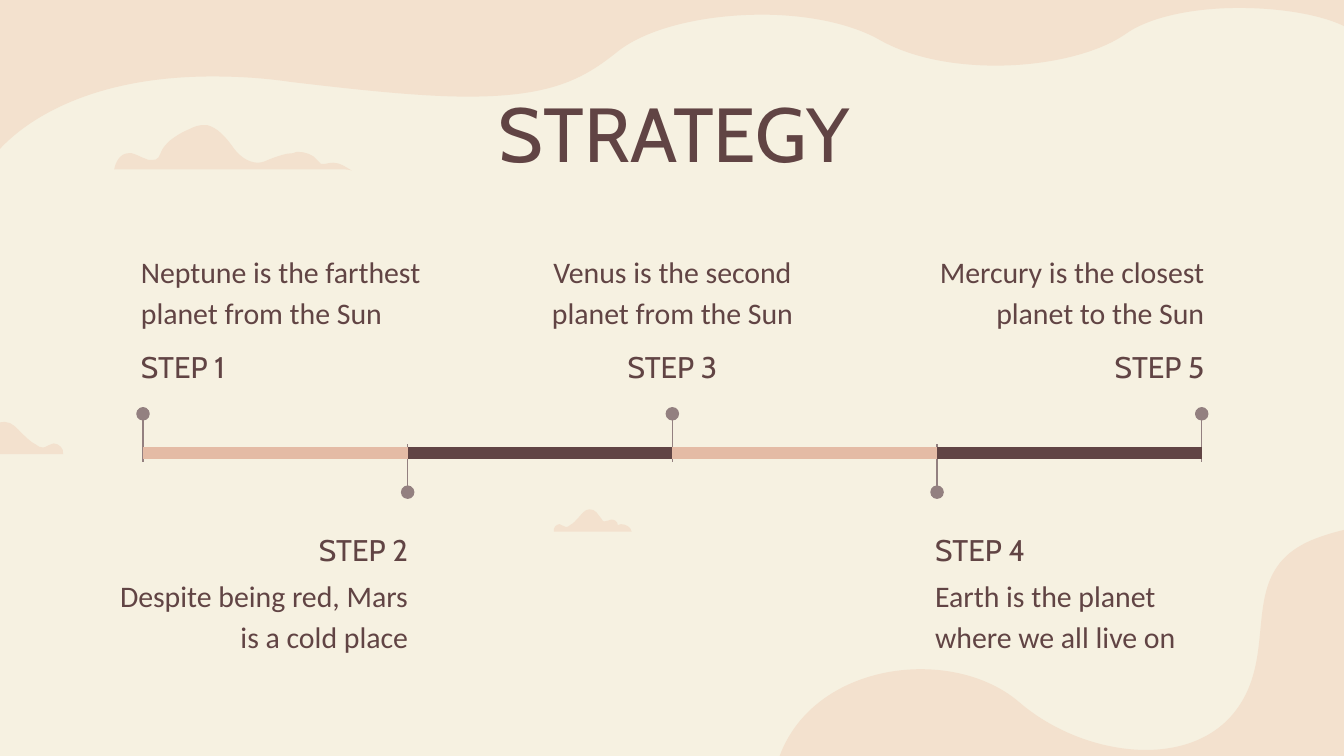
from lxml import etree
from pptx import Presentation
from pptx.dml.color import RGBColor
from pptx.enum.shapes import MSO_CONNECTOR, MSO_SHAPE
from pptx.enum.text import MSO_ANCHOR, PP_ALIGN
from pptx.oxml.ns import qn
from pptx.util import Pt

LEFT, CENTER, RIGHT = PP_ALIGN.LEFT, PP_ALIGN.CENTER, PP_ALIGN.RIGHT
TOP, MIDDLE, BOTTOM = MSO_ANCHOR.TOP, MSO_ANCHOR.MIDDLE, MSO_ANCHOR.BOTTOM
STRAIGHT, OVAL = MSO_CONNECTOR.STRAIGHT, MSO_SHAPE.OVAL

CREAM = RGBColor(0xF6, 0xF1, 0xE1)
SAND = RGBColor(0xF3, 0xE1, 0xCE)
PEACH = RGBColor(0xE4, 0xBB, 0xA5)
PLUM = RGBColor(0x61, 0x44, 0x44)
MAUVE = RGBColor(0x93, 0x80, 0x80)

# Outlines in points: a start, then lines (x, y) and Bezier curves (six values)
WAVE = [
    (0, 0), (0, 100.8), (0, 100.8, 28.8, 57.6, 117.4, 57.6),
    (130.3, 57.6, 144, 58.3, 159.1, 60.5), (200.9, 65.5, 231.1, 68.4, 254.2, 68.4),
    (298.8, 68.4, 316.1, 59, 334.1, 44.6), (349.9, 31.7, 380.9, 24.5, 411.8, 24.5),
    (434.9, 24.5, 457.9, 28.8, 473.8, 37.4), (491, 47.5, 514.1, 51.8, 537.1, 51.8),
    (564.5, 51.8, 591.8, 45.4, 607, 34.6), (620.6, 25.2, 644.4, 20.9, 667.4, 20.9),
    (693.4, 20.9, 719.3, 25.9, 730.1, 34.6), (730.1, 0),
]
HILL = [
    (403.2, 37.4), (403.2, 37.4, 357.1, 0, 295.2, 22.3),
    (249.1, 38.9, 275.8, 81.4, 251.3, 114.5),
    (226.8, 147.6, 169.2, 139.7, 135.4, 110.9),
    (94.3, 74.9, 0, 92.2, 2.2, 167.8), (403.2, 167.8),
]
LONG_CLOUD = [
    (48.2, 0), (45.4, 0, 43.2, 0.7, 40.3, 2.2), (36.7, 3.6, 33.1, 5.8, 29.5, 8.6),
    (28.1, 10.1, 25.9, 12.2, 25.2, 14.4), (24.5, 15.1, 24.5, 16.6, 23.8, 17.3),
    (23, 18.7, 21.6, 18.7, 20.2, 18.7), (18.7, 18.7, 17.3, 18.7, 16.6, 18),
    (14.4, 17.3, 12.2, 15.8, 9.4, 15.1), (8.6, 15.1, 8.6, 15.1, 7.9, 15.1),
    (2.9, 15.1, 0.7, 20.2, 0, 23.8), (122.4, 23.8),
    (123.8, 23.8, 126, 23.8, 127.4, 24.5), (123.8, 22.3, 121, 20.2, 117.4, 20.2),
    (115.2, 20.2, 113, 20.9, 112.3, 20.9), (110.9, 20.9, 110.2, 20.9, 110.2, 20.2),
    (109.4, 19.4, 108.7, 18.7, 108.7, 18.7), (106.6, 15.8, 102.2, 14.4, 98.6, 14.4),
    (97.9, 14.4, 97.2, 14.4, 95.8, 15.1), (92.2, 15.1, 87.8, 16.6, 84.2, 18),
    (82.1, 18.7, 79.9, 20.2, 77, 20.2), (71.3, 20.2, 66.2, 15.8, 63.4, 11.5),
    (59.8, 6.5, 55.4, 1.4, 49.7, 0),
]
CLOUD = [
    (36.7, 0), (34.6, 0, 32.4, 0.7, 31, 2.2), (29.5, 3.6, 28.1, 5.8, 26.6, 7.2),
    (25.9, 7.9, 25.2, 9.4, 24.5, 9.4), (22.3, 9.4, 21.6, 8.6, 20.2, 8.6),
    (19.4, 7.9, 18.7, 7.9, 18, 7.9), (15.1, 7.9, 12.2, 9.4, 12.2, 12.2),
    (10.8, 11.5, 10.1, 11.5, 9.4, 11.5), (5, 11.5, 0.7, 13.7, 0, 17.3),
    (68.4, 17.3), (69.1, 14.4, 66.2, 11.5, 63.4, 11.5),
    (60.5, 12.2, 59, 13.7, 57.6, 13.7), (56.2, 13.7, 54.7, 13, 54, 12.2),
    (51.1, 10.8, 49, 8.6, 46.1, 5.8), (43.9, 3.6, 41, 0, 37.4, 0),
]

# Title, description, alignment, and caption edge measured from the timeline's left
STEPS = [
    ("STEP 1", "Neptune is the farthest planet from the Sun", LEFT, -8.2),
    ("STEP 2", "Despite being red, Mars is a cold place", RIGHT, 149.1),
    ("STEP 3", "Venus is the second planet from the Sun", CENTER, 283.7),
    ("STEP 4", "Earth is the planet where we all live on", LEFT, 417.3),
    ("STEP 5", "Mercury is the closest planet to the Sun", RIGHT, 575.7),
]


def add_blob(s, outline, left, top, sx=1, sy=1):
    """Draw a sand outline; a negative sx mirrors it about left."""
    points = [(Pt(left + seg[i] * sx), Pt(top + seg[i + 1] * sy))
              for seg in outline for i in range(0, len(seg), 2)]
    builder = s.shapes.build_freeform(*points[0])
    builder.add_line_segments(points[1:], close=True)
    sp = builder.convert_to_shape()
    # Join the three points of each curve into one Bezier segment
    nodes = iter(list(sp._element.iter(qn("a:lnTo"))))
    for seg in outline[1:]:
        node = next(nodes)
        if len(seg) == 6:
            curve = etree.Element(qn("a:cubicBezTo"))
            node.addprevious(curve)
            for part in (node, next(nodes), next(nodes)):
                curve.append(part[0])
                part.getparent().remove(part)
    sp.shadow.inherit = False
    sp.fill.solid()
    sp.fill.fore_color.rgb = SAND
    sp.line.fill.background()


def add_line(s, x1, y1, x2, y2, color, width):
    line = s.shapes.add_connector(STRAIGHT, Pt(x1), Pt(y1), Pt(x2), Pt(y2))
    line.line.color.rgb = color
    line.line.width = Pt(width)
    etree.SubElement(line._element.spPr, qn("a:effectLst"))


def add_text(s, text, left, top, width, height, font, size, align, anchor=TOP, spacing=1.15):
    tf = s.shapes.add_textbox(Pt(left), Pt(top), Pt(width), Pt(height)).text_frame
    tf.word_wrap = True
    tf.vertical_anchor = anchor
    tf.margin_left = tf.margin_right = tf.margin_top = tf.margin_bottom = Pt(7.2)
    tf.text = text
    p = tf.paragraphs[0]
    p.alignment = align
    p.line_spacing = spacing
    r = p.runs[0]
    r.font.name = font
    r.font.size = Pt(size)
    r.font.color.rgb = PLUM


def add_background(s, width, height):
    s.background.fill.solid()
    s.background.fill.fore_color.rgb = CREAM
    add_blob(s, WAVE, -3.6, -16.6)
    add_blob(s, HILL, width - 308.9, height - 139.3)
    add_blob(s, LONG_CLOUD, 61.2, 67)
    add_blob(s, CLOUD, 338.4, 272.9, -0.61, 0.69)
    add_blob(s, CLOUD, -34.6, 226.1)


def add_pin(s, x, axis, side):
    """Pin with its head above (side -1) or below (side 1) the axis."""
    head, dot = axis + side * 21, 6.5
    add_line(s, x, head, x, axis - side * 5, MAUVE, 0.75)
    sp = s.shapes.add_shape(OVAL, Pt(x - dot / 2), Pt(head - dot / 2), Pt(dot), Pt(dot))
    sp.shadow.inherit = False
    sp.fill.solid()
    sp.fill.fore_color.rgb = MAUVE
    sp.line.color.rgb = MAUVE
    sp.line.width = Pt(0.75)


def add_caption(s, edge, axis, above, title, body, align):
    """Step title and description, aligned to the given edge."""
    def left(width):
        return edge - {LEFT: 0, CENTER: width / 2, RIGHT: width}[align]

    title_top, body_top = (-62.8, -113.8) if above else (32.3, 56.8)
    add_text(s, title, left(127.4), axis + title_top, 127.4, 30.2, "Cabin", 16, align,
             MIDDLE if above else TOP)
    add_text(s, body, left(174.2), axis + body_top, 174.2, 55.4, "Calibri", 16, align,
             BOTTOM if above else TOP)


def add_timeline(s, left, axis, width):
    gap = width / (len(STEPS) - 1)
    stops = [left + i * gap for i in range(len(STEPS))]
    # Pins
    for i, x in enumerate(stops):
        add_pin(s, x, axis, 1 if i % 2 else -1)
    # Bar segments
    for i, (start, end) in enumerate(zip(stops, stops[1:])):
        add_line(s, start, axis, end, axis, PLUM if i % 2 else PEACH, 6)
    # Captions
    for i, (title, body, align, edge) in enumerate(STEPS):
        add_caption(s, left + edge, axis, i % 2 == 0, title, body, align)


def main():
    prs = Presentation()
    prs.slide_width, prs.slide_height = Pt(720), Pt(405)
    s = prs.slides.add_slide(prs.slide_layouts[6])
    add_background(s, 720, 405)
    add_timeline(s, 76.6, 242.7, 567.2)
    add_text(s, "STRATEGY", 42.5, 38.9, 637.9, 45.4, "Cabin", 41, CENTER, spacing=1)
    prs.save("out.pptx")


if __name__ == "__main__":
    main()
